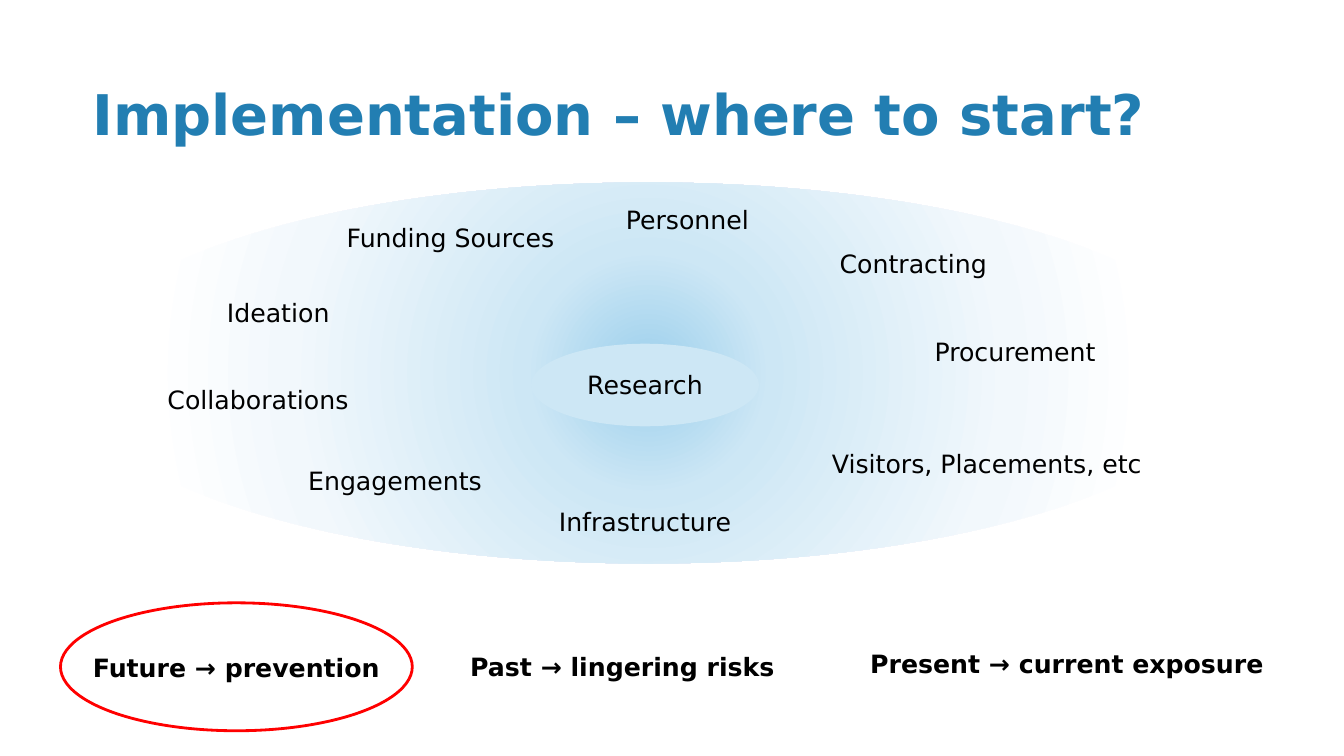
from lxml.etree import SubElement
from pptx import Presentation
from pptx.dml.color import RGBColor
from pptx.enum.shapes import MSO_SHAPE as Shape
from pptx.enum.text import MSO_ANCHOR as Anchor, MSO_AUTO_SIZE as AutoSize, PP_ALIGN as Align
from pptx.oxml.ns import qn
from pptx.util import Pt


def rgb(color):
    return RGBColor.from_string(color)


def add_text(frame, text, size, color, bold, align):
    frame.text = text
    paragraph = frame.paragraphs[0]
    paragraph.alignment = align
    font = paragraph.runs[0].font
    for name, value in {"name": "DejaVu Sans", "size": Pt(size), "bold": bold}.items():
        setattr(font, name, value)
    font.color.rgb = rgb(color)


LABEL_HEIGHT = 29
GLOW_STOPS = [(0, "9BCFEC"), (20, "CDE7F5"), (59, "F2F8FC"), (82, "FFFFFF")]

# text, left, top, width
ACTIVITIES = [
    ("Research", 397.4, 260.6, 126.7),
    ("Contracting", 589, 173.5, 126.7),
    ("Procurement", 643.7, 236.9, 162.7),
    ("Ideation", 135.4, 208.8, 126.7),
    ("Personnel", 349.9, 142.6, 282.2),
    ("Visitors, Placements, etc", 563.8, 316.8, 282.2),
    ("Funding Sources", 180.7, 155.5, 282.2),
    ("Collaborations", 90, 270.7, 188.6),
    ("Engagements", 187.9, 329, 188.6),
    ("Infrastructure", 319.7, 357.8, 282.2),
]
TIMEFRAMES = [
    ("Future → prevention", 8.6, 462.2, 320.4),
    ("Past → lingering risks", 284.4, 461.5, 320.4),
    ("Present → current exposure", 601.9, 459.4, 320.4),
]

prs = Presentation()
prs.slide_width, prs.slide_height = Pt(960), Pt(540)
slide = prs.slides.add_slide(prs.slide_layouts[5])
shapes = slide.shapes

title = shapes.title
title_box = {"left": 66.2, "top": 28.8, "width": 828, "height": 104.4}
for side, length in title_box.items():
    setattr(title, side, Pt(length))
title_format = {
    "margin_left": 0,
    "margin_right": 0,
    "vertical_anchor": Anchor.MIDDLE,
    "auto_size": AutoSize.NONE,
    "word_wrap": True,
}
for name, value in title_format.items():
    setattr(title.text_frame, name, value)
add_text(title.text_frame, "Implementation – where to start?", 40, "227EB2", True, Align.LEFT)

ellipses = []
for box in [
    (49, 130.3, 828, 272.2),
    (379.4, 245.5, 162.7, 59),
    (43.2, 430.6, 251.3, 91.4),
]:
    ellipse = shapes.add_shape(Shape.OVAL, *map(Pt, box))
    ellipse.shadow.inherit = False
    ellipse.line.fill.background()
    ellipses.append(ellipse)
glow, core, future_ring = ellipses

# Circular gradient spreading from the centre
glow.fill.gradient()
gradient = glow.fill._xPr.find(qn("a:gradFill"))
for child in list(gradient):
    gradient.remove(child)
stops = SubElement(gradient, qn("a:gsLst"))
for percent, color in GLOW_STOPS:
    stop = SubElement(stops, qn("a:gs"), pos=str(percent * 1000))
    SubElement(stop, qn("a:srgbClr"), val=color)
circle = SubElement(gradient, qn("a:path"), path="circle")
SubElement(circle, qn("a:fillToRect"), dict.fromkeys("ltrb", "50000"))

core.fill.solid()
core.fill.fore_color.rgb = rgb("CDE7F5")
future_ring.fill.background()
future_ring.line.color.rgb = rgb("FF0000")
future_ring.line.width = Pt(2)

for labels, bold in [(ACTIVITIES, False), (TIMEFRAMES, True)]:
    for text, left, top, width in labels:
        label = shapes.add_textbox(Pt(left), Pt(top), Pt(width), Pt(LABEL_HEIGHT))
        label.text_frame.word_wrap = True
        label.text_frame.auto_size = AutoSize.SHAPE_TO_FIT_TEXT
        add_text(label.text_frame, text, 18, "000000", bold, Align.CENTER)

prs.save("out.pptx")
